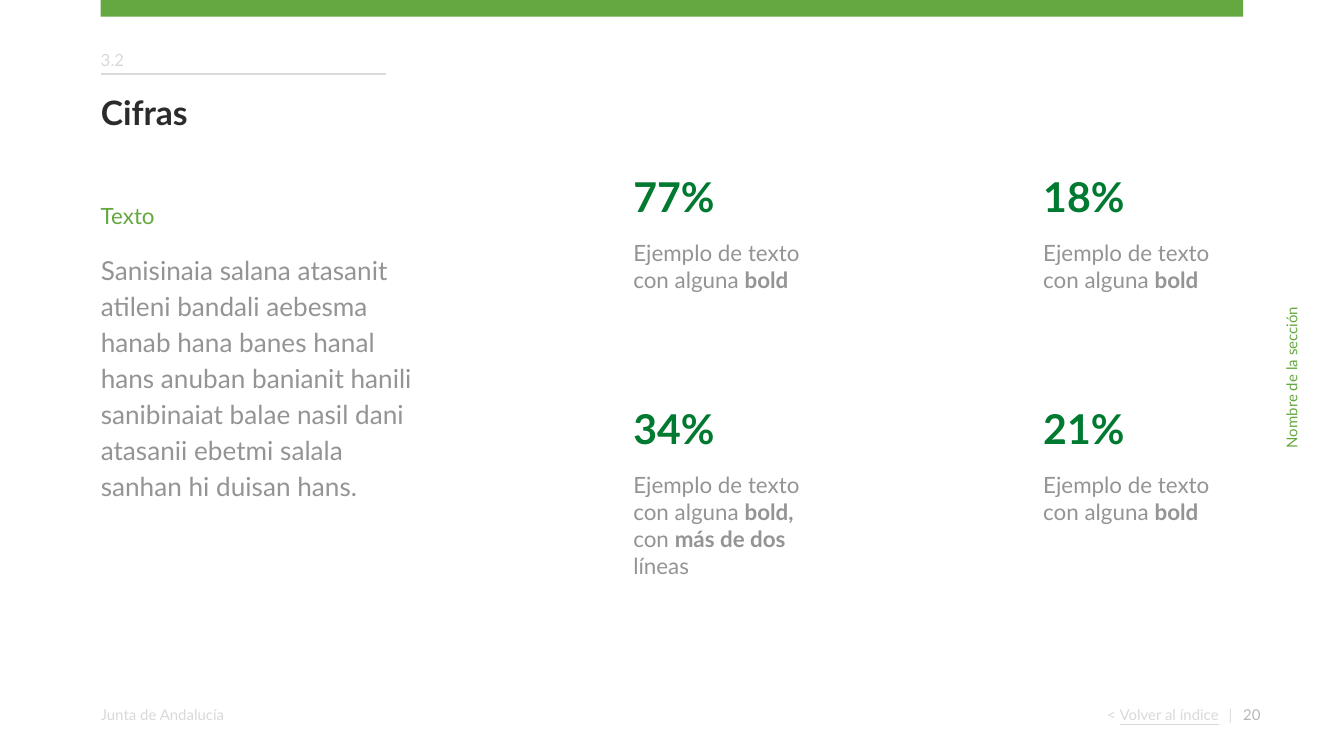
from pptx import Presentation
from pptx.dml.color import RGBColor as RGB
from pptx.enum.shapes import MSO_CONNECTOR as Conn, MSO_SHAPE as Kind
from pptx.enum.text import MSO_ANCHOR as Anchor, PP_ALIGN as Align
from pptx.oxml.ns import qn
from pptx.util import Pt
from lxml import etree

PX = 5715
GREEN = RGB(0x64, 0xA8, 0x3F)
DARK = RGB(0x00, 0x79, 0x31)
BLACK = RGB(0x2B, 0x2B, 0x2B)
GREY = RGB(0x94, 0x94, 0x94)
MID = RGB(0xB7, 0xB7, 0xB7)
PALE = RGB(0xD9, 0xD9, 0xD9)


class Page:
    face = "Lato"

    def __init__(self, slide):
        self.slide = slide

    def style(self, para, size, color, bold=None):
        font = para.font
        font.name, font.size, font.bold = self.face, Pt(size), bold
        font.color.rgb = color

    def frame(self, area):
        box = self.slide.shapes.add_textbox(*(n * PX for n in area))
        frame = box.text_frame
        frame.word_wrap = True
        frame.margin_left = frame.margin_right = 0
        frame.margin_top = frame.margin_bottom = 0
        return box, frame

    def text(self, area, words, size, color, bold=None, align=Align.LEFT):
        box, frame = self.frame(area)
        para = frame.paragraphs[0]
        para.text, para.alignment = words, align
        self.style(para, size, color, bold)
        return box

    def bar(self, area, color):
        bar = self.slide.shapes.add_shape(Kind.RECTANGLE, *(n * PX for n in area))
        bar.shadow.inherit = False
        bar.fill.solid()
        bar.fill.fore_color.rgb = color
        bar.line.fill.background()

    def rule(self, left, right, top, color):
        line = self.slide.shapes.add_connector(
            Conn.STRAIGHT, left * PX, top * PX, right * PX, top * PX)
        line.line.color.rgb, line.line.width = color, Pt(0.75)
        etree.SubElement(line._element.spPr, qn("a:effectLst"))

    def link(self, area, mark, words, size, color):
        box = self.text(area, mark, size, color, align=Align.RIGHT)
        para = box.text_frame.paragraphs[0]
        link, gap, end = (para.add_run() for _ in range(3))
        link.text, gap.text, end.text = words, " ", "|"
        link.font.underline = True
        gap.font._element.set("spc", "310")

    def stat(self, area, value, parts):
        frame = self.frame(area)[1]
        head, note = frame.paragraphs[0], frame.add_paragraph()
        head.text = value
        self.style(head, 22, DARK, True)
        note.space_before = Pt(10)
        self.style(note, 12, GREY)
        for i, part in enumerate(parts):
            run = note.add_run()
            run.text, run.font.bold = part, i % 2 == 1


def main():
    deck = Presentation()
    deck.slide_width, deck.slide_height = 1600 * PX, 900 * PX
    page = Page(deck.slides.add_slide(deck.slide_layouts[6]))
    left = 120

    page.bar((left, 0, 1360, 20), GREEN)
    page.text((left, 59, 78, 74), "3.2", 9, PALE)
    page.rule(left, 460, 88, PALE)
    page.text((left, 110, 517, 130), "Cifras", 18, BLACK, True)

    page.text((left, 241, 429, 56), "Texto", 12, GREEN)
    body = page.text(
        (left, 297, 389, 482),
        "Sanisinaia salana atasanit atileni bandali aebesma hanab hana banes "
        "hanal hans anuban banianit hanili sanibinaiat balae nasil dani "
        "atasanii ebetmi salala sanhan hi duisan hans.", 14, GREY)
    body.text_frame.paragraphs[0].line_spacing = 1.15

    lead = "Ejemplo de texto con alguna "
    short = (lead, "bold")
    long = (lead, "bold, ", "con ", "más de dos", " líneas")
    stats = [("77%", short, 150), ("18%", short, 166),
             ("34%", long, 216), ("21%", short, 197)]
    cols, rows = [(754, 210), (1242, 238)], [204, 480]
    for i, (value, parts, high) in enumerate(stats):
        x, wide = cols[i % 2]
        page.stat((x, rows[i // 2], wide, high), value, parts)

    side = page.text((1332, 432, 411, 35), "Nombre de la sección", 8, GREEN,
                     align=Align.CENTER)
    side.rotation = 270
    side.text_frame.vertical_anchor = Anchor.MIDDLE

    foot = 840
    page.text((left, foot, 310, 35), "Junta de Andalucía", 8, PALE)
    page.link((1056, foot, 411, 35), "< ", "Volver al índice", 8, PALE)
    page.text((1480, foot, 90, 46), "20", 8, MID)

    deck.save("out.pptx")


if __name__ == "__main__":
    main()
